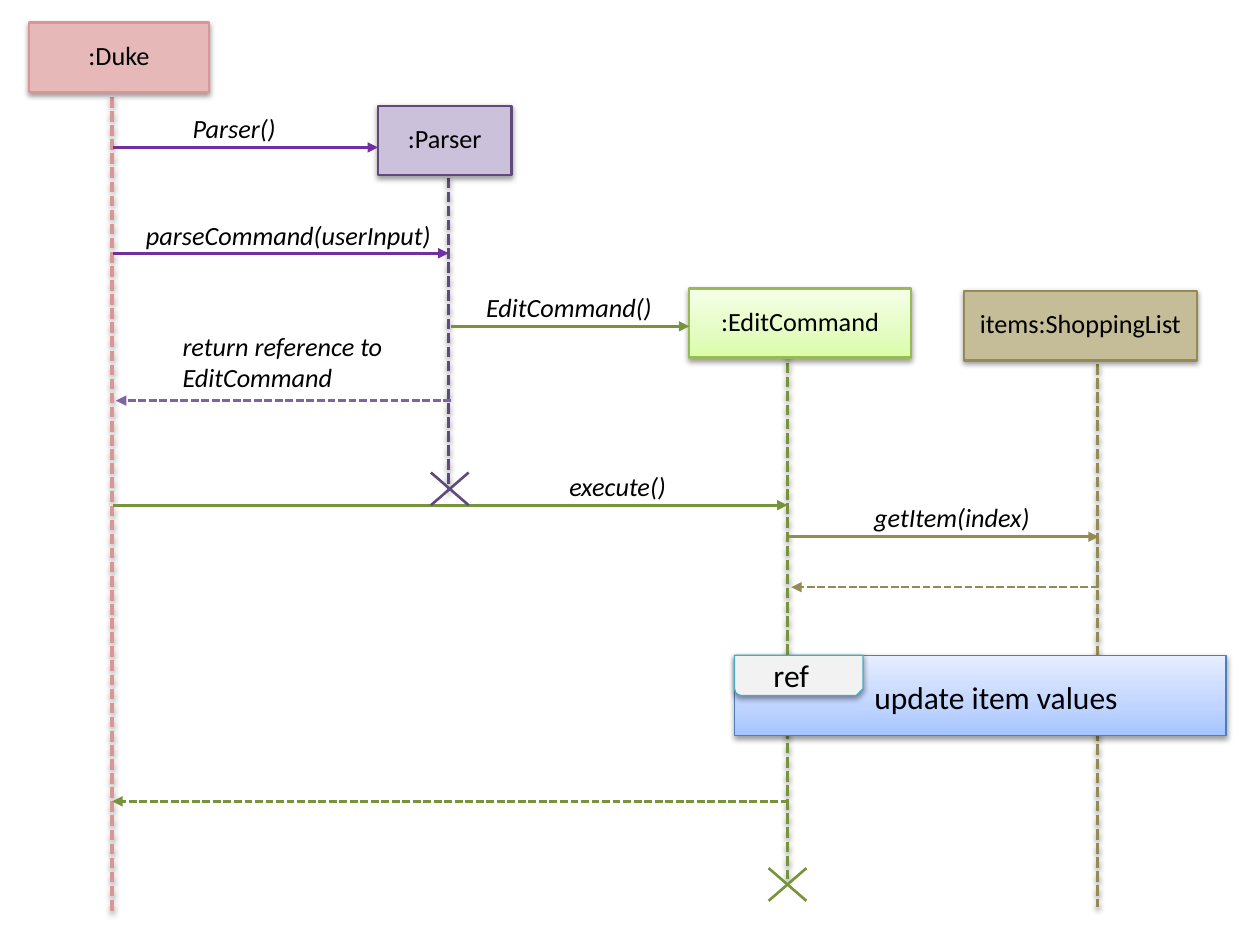
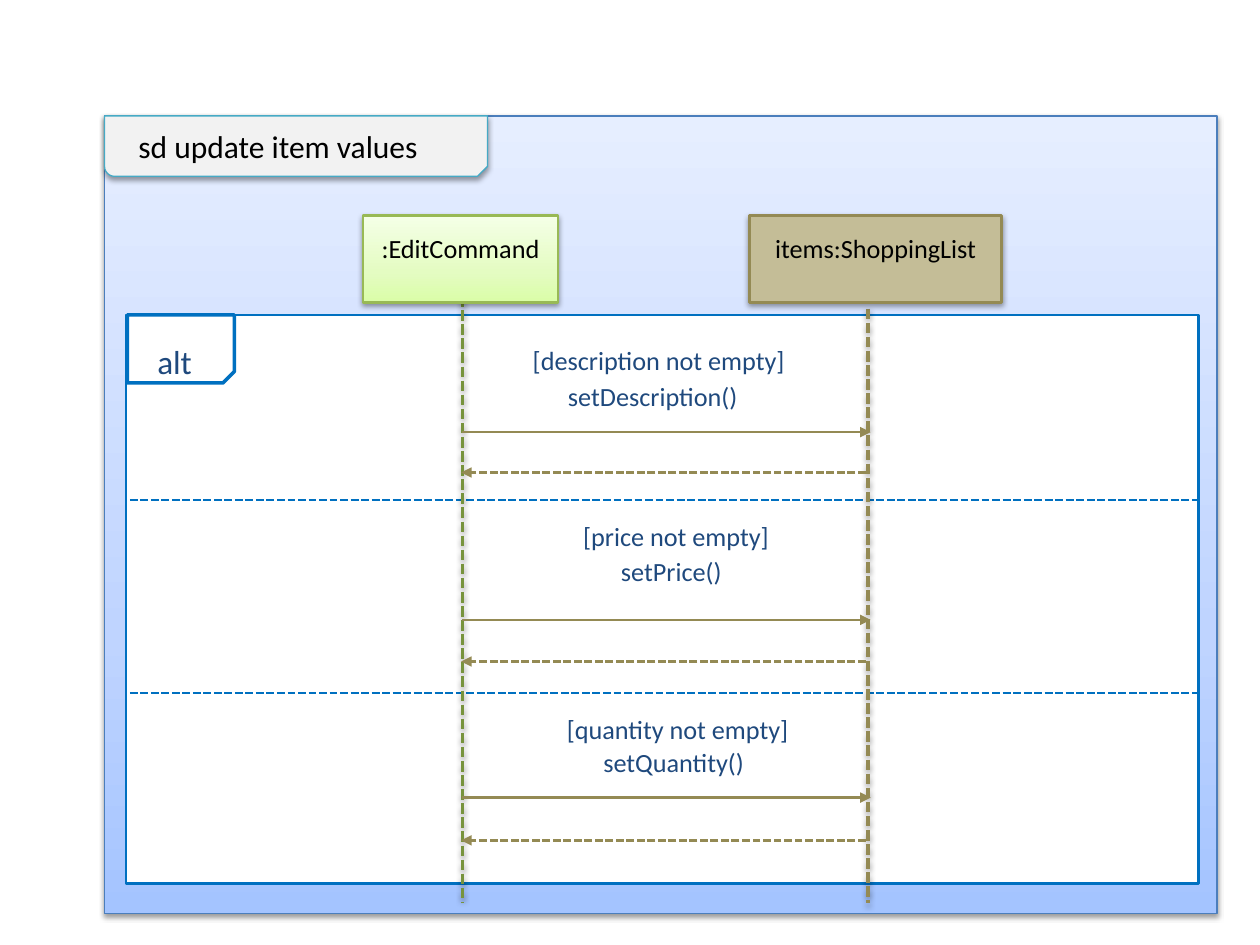
import copy
import pptx
import pptx.util
import pptx.dml.color
import pptx.enum.dml
import pptx.enum.shapes
import pptx.enum.text
import pptx.oxml
import pptx.oxml.ns
from pptx.util import Inches

SHAPES = pptx.enum.shapes.MSO_SHAPE
FONT = "Calibri"
BLACK, NAVY, WHITE = "000000", "1F497D", "FFFFFF"
GREEN, OLIVE, PURPLE, VIOLET, LILAC = "77933C", "948A54", "604A7B", "7030A0", "8064A2"
ROSE, BLUE, FRAME_LINE, TAB_FILL, TAB_LINE = "D99694", "0070C0", "4B7EBC", "F2F2F2", "46AAC5"
GREEN_FADE = [(0, "DAFDA7"), (0.35, "E4FCC2"), (1, "F5FFE7")]
BLUE_FADE = [(0, "A4C4FF"), (0.35, "BFD4FF"), (1, "E6EEFF")]

ROLES = {
    ":Duke": ("E6B9B8", ROSE, ROSE),
    ":Parser": ("CCC1DA", PURPLE, PURPLE),
    ":EditCommand": (GREEN_FADE, "98B955", GREEN),
    "items:ShoppingList": ("C4BD97", OLIVE, OLIVE),
}

EDIT_PARTICIPANTS = [
    (":Duke", (0.23, 0.18, 1.43, 0.55), 0.89, 0.77, 7.24),
    (":Parser", (3, 0.84, 1.06, 0.55), 3.56, 1.41, 3.9),
    (":EditCommand", (5.47, 2.29, 1.76, 0.55), 6.25, 2.43, 6.98),
    ("items:ShoppingList", (7.65, 2.31, 1.85, 0.55), 8.71, 2.89, 7.2),
]
EDIT_MESSAGES = [
    (0.9, 3, 1.17, VIOLET, False),
    (0.9, 3.56, 2.01, VIOLET, False),
    (3.58, 5.47, 2.59, GREEN, False),
    (3.58, 0.92, 3.18, LILAC, True),
    (0.9, 6.25, 4.01, GREEN, False),
    (6.26, 8.72, 4.26, OLIVE, False),
    (8.72, 6.28, 4.66, OLIVE, True),
    (6.26, 0.89, 6.36, GREEN, True),
]
EDIT_LABELS = [
    ("Parser()", (1.43, 0.84, 1.3, 0.3)),
    ("parseCommand(userInput)", (1.06, 1.69, 2.75, 0.3)),
    ("EditCommand()", (3.76, 2.26, 1.6, 0.35)),
    ("return reference to EditCommand", (1.35, 2.57, 1.88, 0.61)),
    ("execute()", (4.42, 3.68, 1.1, 0.3)),
    ("getItem(index)", (6.84, 3.93, 1.74, 0.3)),
]
ENDINGS = [(3.57, 3.88, PURPLE), (6.25, 7.02, GREEN)]

UPDATE_PARTICIPANTS = [
    ("items:ShoppingList", (5.95, 1.71, 2, 0.69), 6.89, 2.45, 7.17),
    (":EditCommand", (2.88, 1.71, 1.55, 0.69), 3.67, 2.35, 7.16),
]
ALTERNATIVES = [
    ("[description not empty]", 4.13, 2.65, "setDescription()", 4.41, 2.94, 3.43, 3.75),
    ("[price not empty]", 4.53, 4.05, "setPrice()", 4.83, 4.33, 4.92, 5.25),
    ("[quantity not empty]", 4.4, 5.58, "setQuantity()", 4.69, 5.84, 6.33, 6.67),
]
DIVIDERS = [3.97, 5.5]


def color(value):
    return pptx.dml.color.RGBColor.from_string(value)


def add_shadow(item):
    item._element.spPr.append(pptx.oxml.parse_xml(
        f'<a:effectLst {pptx.oxml.ns.nsdecls("a")}>'
        '<a:outerShdw blurRad="40000" dist="20000" dir="5400000" rotWithShape="0">'
        '<a:srgbClr val="000000"><a:alpha val="38000"/></a:srgbClr>'
        '</a:outerShdw></a:effectLst>'))


def fill_gradient(shape, stops):
    shape.fill.gradient()
    shape.fill.gradient_angle = 90
    stop_list = shape._element.spPr.find(pptx.oxml.ns.qn("a:gradFill")).gsLst
    stop_list.append(copy.deepcopy(stop_list[-1]))
    for stop, (position, value) in zip(shape.fill.gradient_stops, stops):
        stop.position = position
        stop.color.rgb = color(value)


def add_box(page, kind, place, fill, line, width, shadow=True, flipped=False):
    shape = page.shapes.add_shape(kind, *map(Inches, place))
    if isinstance(fill, list):
        fill_gradient(shape, fill)
    else:
        shape.fill.solid()
        shape.fill.fore_color.rgb = color(fill)
    shape.line.color.rgb = color(line)
    shape.line.width = pptx.util.Pt(width)
    if flipped:
        shape._element.spPr.xfrm.set("flipV", "1")
    if shadow:
        add_shadow(shape)
    else:
        shape.shadow.inherit = False
    return shape


def add_line(page, start, end, line, width=1.5, dashed=False, arrow=False, shadow=False):
    connector = page.shapes.add_connector(
        pptx.enum.shapes.MSO_CONNECTOR.STRAIGHT, *map(Inches, start + end))
    connector.line.color.rgb = color(line)
    connector.line.width = pptx.util.Pt(width)
    if dashed:
        connector.line.dash_style = pptx.enum.dml.MSO_LINE.SQUARE_DOT
    if arrow:
        connector.line._get_or_add_ln().append(pptx.oxml.parse_xml(
            f'<a:tailEnd {pptx.oxml.ns.nsdecls("a")} type="triangle"/>'))
    if shadow:
        add_shadow(connector)
    else:
        connector._element.spPr.append(pptx.oxml.parse_xml(
            f'<a:effectLst {pptx.oxml.ns.nsdecls("a")}/>'))


def write(shape, text, size=15, value=BLACK, italic=False):
    frame = shape.text_frame
    frame.word_wrap = True
    frame.text = text
    font = frame.paragraphs[0].runs[0].font
    font.name, font.size, font.italic = FONT, pptx.util.Pt(size), italic
    font.color.rgb = color(value)
    return frame


def add_label(page, text, place, middle=False, **style):
    frame = write(page.shapes.add_textbox(*map(Inches, place)), text, **style)
    if middle:
        frame.vertical_anchor = pptx.enum.text.MSO_ANCHOR.MIDDLE


def add_participants(page, participants):
    for name, place, x, top, bottom in participants:
        fill, border, lifeline = ROLES[name]
        add_line(page, (x, top), (x, bottom), lifeline, 2, dashed=True, shadow=True)
        box = add_box(page, SHAPES.RECTANGLE, place, fill, border, 1.5)
        frame = write(box, name)
        frame.vertical_anchor = pptx.enum.text.MSO_ANCHOR.TOP
        frame.margin_top, frame.margin_bottom = Inches(0.13), 0
        frame.paragraphs[0].alignment = pptx.enum.text.PP_ALIGN.CENTER


def add_message(page, start, end, y, line, reply):
    add_line(page, (start, y), (end, y), line, dashed=reply, arrow=True)


def add_frame(page, place, tab_width, tab_height):
    add_box(page, SHAPES.RECTANGLE, place, BLUE_FADE, FRAME_LINE, 0.75)
    add_box(page, SHAPES.SNIP_ROUND_RECTANGLE, (*place[:2], tab_width, tab_height),
            TAB_FILL, TAB_LINE, 0.75, flipped=True)


def build_edit(page):
    add_participants(page, EDIT_PARTICIPANTS)
    for message in EDIT_MESSAGES:
        add_message(page, *message)
    for text, place in EDIT_LABELS:
        add_label(page, text, place, italic=True)
    for x, y, line in ENDINGS:
        for rise in (-0.13, 0.13):
            add_line(page, (x - 0.15, y - rise), (x + 0.15, y + rise), line)
    add_frame(page, (5.83, 5.2, 3.9, 0.64), 1.02, 0.32)
    add_label(page, "ref", (6.04, 5.16, 0.61, 0.61), size=18)
    add_label(page, "update item values", (6.84, 5.33, 2.29, 0.35), size=18)


def build_update(page):
    add_frame(page, (0.83, 0.92, 8.83, 6.33), 3.04, 0.48)
    add_label(page, "sd update item values", (1, 0.96, 5.54, 0.68), size=18)
    add_box(page, SHAPES.RECTANGLE, (1, 2.5, 8.51, 4.51), WHITE, BLUE, 1.5, shadow=False)
    add_box(page, SHAPES.SNIP_1_RECTANGLE, (1.01, 2.5, 0.85, 0.54), WHITE, BLUE, 2,
            shadow=False, flipped=True)
    add_label(page, "alt", (1.15, 2.57, 0.54, 0.59), middle=True, size=19, value=NAVY)
    for y in DIVIDERS:
        add_line(page, (1.03, y), (9.5, y), BLUE, dashed=True)
    add_participants(page, UPDATE_PARTICIPANTS)
    for guard, guard_x, guard_y, call, call_x, call_y, sent, returned in ALTERNATIVES:
        add_label(page, guard, (guard_x, guard_y, 2.5, 0.41), middle=True, value=NAVY)
        add_label(page, call, (call_x, call_y, 1.7, 0.41), middle=True, value=NAVY)
        add_message(page, 3.67, 6.91, sent, OLIVE, False)
        add_message(page, 6.87, 3.66, returned, OLIVE, True)


def main():
    deck = pptx.Presentation()
    deck.slide_width, deck.slide_height = Inches(10), Inches(7.5)
    for build in (build_edit, build_update):
        build(deck.slides.add_slide(deck.slide_layouts[6]))
    deck.save("out.pptx")


if __name__ == "__main__":
    main()
